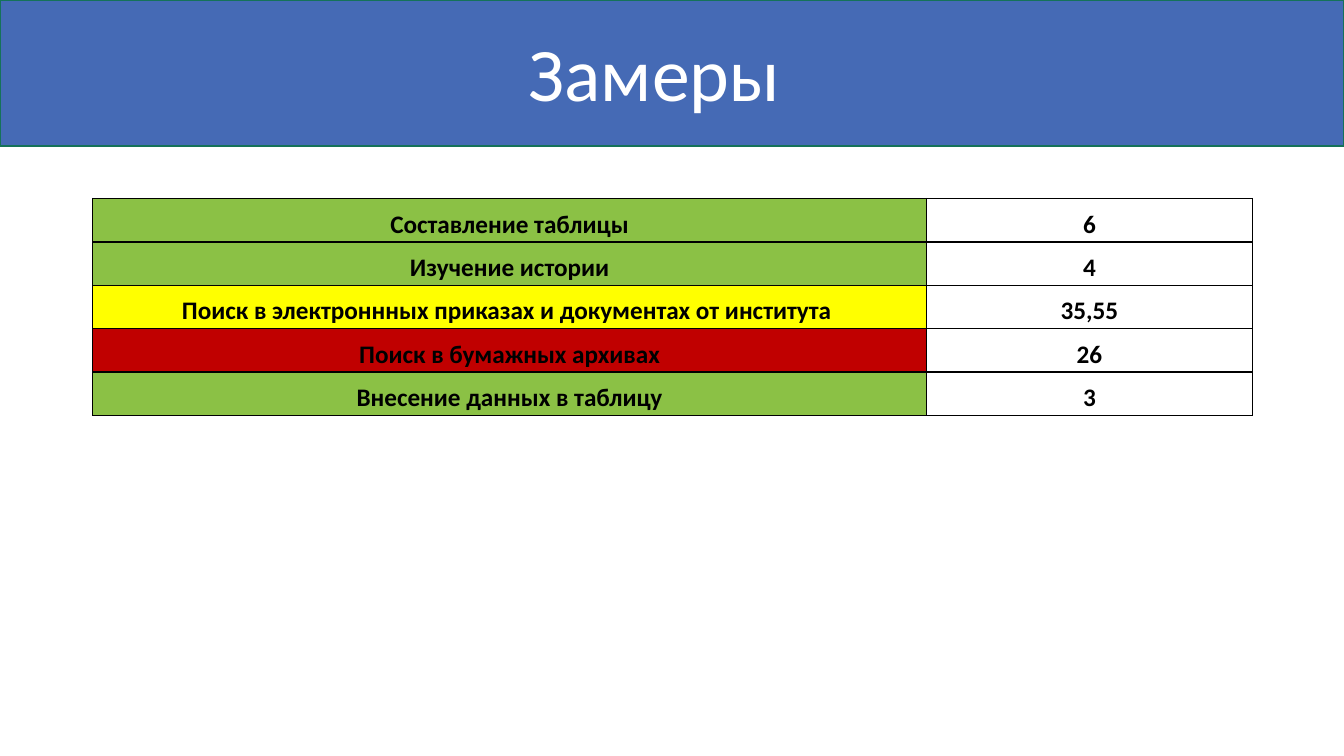
import dataclasses

import lxml.etree
import pptx
import pptx.dml.color
import pptx.enum.shapes
import pptx.enum.text
import pptx.oxml.ns
import pptx.util

Inches = pptx.util.Inches
Pt = pptx.util.Pt
RGBColor = pptx.dml.color.RGBColor
Align = pptx.enum.text.PP_ALIGN
Anchor = pptx.enum.text.MSO_ANCHOR


@dataclasses.dataclass(frozen=True)
class Theme:
    """Hold the colours, font and type sizes of the slide."""
    font: str = "Calibri"
    title_size: int = 54
    cell_size: int = 18
    band: str = "456AB5"
    band_line: str = "157259"
    white: str = "FFFFFF"
    black: str = "000000"
    green: str = "8BC145"
    yellow: str = "FFFF00"
    red: str = "C00000"


THEME = Theme()
MEASUREMENTS = [
    ("Составление таблицы", "6", THEME.green),
    ("Изучение истории", "4", THEME.green),
    ("Поиск в электроннных приказах и документах от института ", "35,55", THEME.yellow),
    ("Поиск в бумажных архивах", "26", THEME.red),
    ("Внесение данных в таблицу", "3", THEME.green),
]


def apply_format(target, values):
    """Set each attribute named in a dict of format values."""
    for name, value in values.items():
        setattr(target, name, value)


def paint(fill, color):
    """Give a fill one solid colour."""
    fill.solid()
    fill.fore_color.rgb = RGBColor.from_string(color)


def write_text(frame, text, size, color, bold=False, **paragraph_format):
    """Write one centred paragraph in the theme font."""
    para = frame.paragraphs[0]
    apply_format(para, {"alignment": Align.CENTER, **paragraph_format})
    span = para.add_run()
    span.text = text
    apply_format(span.font, {"name": THEME.font, "size": Pt(size), "bold": bold})
    span.font.color.rgb = RGBColor.from_string(color)


def add_band(slide, width, height):
    """Draw the coloured header band behind the title."""
    band = slide.shapes.add_shape(
        pptx.enum.shapes.MSO_SHAPE.RECTANGLE, 0, 0, width, height)
    band.shadow.inherit = False
    paint(band.fill, THEME.band)
    paint(band.line.fill, THEME.band_line)
    band.line.width = Pt(1)
    slide.shapes._spTree.insert(2, band._element)


def set_title(slide, text):
    """Place and format the title placeholder."""
    title = slide.shapes.title
    apply_format(title, {"left": Inches(1.49), "top": Inches(0.24),
                         "width": Inches(10), "height": Inches(0.98)})
    apply_format(title.text_frame, {
        "vertical_anchor": Anchor.BOTTOM, "word_wrap": True,
        "auto_size": pptx.enum.text.MSO_AUTO_SIZE.NONE})
    write_text(title.text_frame, text, THEME.title_size, THEME.white, line_spacing=0.9)


def add_borders(cell):
    """Draw a thin line on all four sides of a cell."""
    properties = cell._tc.get_or_add_tcPr()
    for position, side in enumerate(("lnL", "lnR", "lnT", "lnB")):
        line = lxml.etree.Element(pptx.oxml.ns.qn(f"a:{side}"), w=str(Pt(1)))
        solid = lxml.etree.SubElement(line, pptx.oxml.ns.qn("a:solidFill"))
        lxml.etree.SubElement(solid, pptx.oxml.ns.qn("a:srgbClr"), val=THEME.black)
        properties.insert(position, line)


def format_cell(cell, text, color):
    """Fill, border and write one table cell."""
    apply_format(cell, {
        "vertical_anchor": Anchor.BOTTOM,
        "margin_left": Inches(0.03), "margin_right": Inches(0.03),
        "margin_top": Inches(0.02), "margin_bottom": Inches(0.02)})
    paint(cell.fill, color)
    add_borders(cell)
    write_text(cell.text_frame, text, THEME.cell_size, THEME.black, bold=True)


def add_measurements(slide, measurements):
    """Add the table of tasks and their measured values."""
    table = slide.shapes.add_table(
        len(measurements), 2, Inches(0.92), Inches(1.97),
        Inches(11.5), Inches(2.15)).table
    apply_format(table, {"first_row": False, "horz_banding": False})
    for column, width in zip(table.columns, (8.27, 3.23)):
        column.width = Inches(width)
    for row, (task, value, color) in zip(table.rows, measurements):
        row.height = Inches(0.43)
        format_cell(row.cells[0], task, color)
        format_cell(row.cells[1], value, THEME.white)


def main():
    """Build the slide and save the deck."""
    deck = pptx.Presentation()
    apply_format(deck, {"slide_width": Inches(13.33), "slide_height": Inches(7.5)})
    slide = deck.slides.add_slide(deck.slide_layouts[5])
    paint(slide.background.fill, THEME.white)
    add_band(slide, deck.slide_width, Inches(1.45))
    set_title(slide, "Замеры")
    add_measurements(slide, MEASUREMENTS)
    deck.save("out.pptx")


if __name__ == "__main__":
    main()
